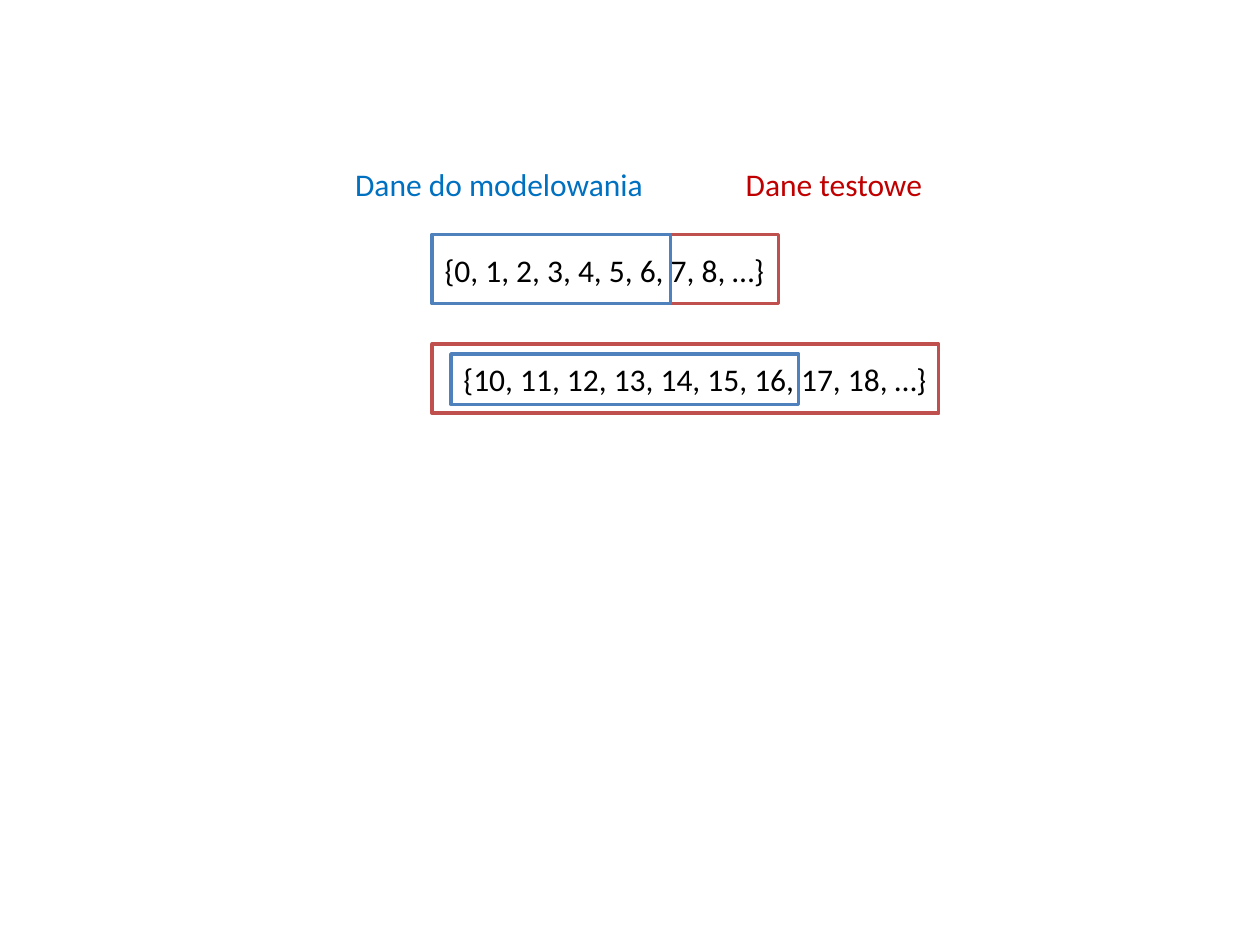
"""Build a slide marking modelling data and test data in two number sets."""
from pptx import Presentation
from pptx.dml.color import RGBColor
from pptx.enum.shapes import MSO_SHAPE
from pptx.enum.text import MSO_AUTO_SIZE
from pptx.util import Inches, Pt

TEST_LINE, MODEL_LINE = "C0504D", "4F81BD"
FRAMES = [
    (3.43, 2.73, 4.02, 0.55, TEST_LINE),
    (5.31, 1.86, 0.87, 0.55, TEST_LINE),
    (3.58, 2.81, 2.76, 0.4, MODEL_LINE),
    (3.43, 1.86, 1.89, 0.55, MODEL_LINE),
]
LABELS = [
    ("{0, 1, 2, 3, 4, 5, 6, 7, 8, …}", 3.43, 1.94, 2.99, "000000", True),
    ("{10, 11, 12, 13, 14, 15, 16, 17, 18, …}", 3.58, 2.81, 3.94, "000000", True),
    ("Dane do modelowania", 2.72, 1.26, 2.52, "0070C0", False),
    ("Dane testowe", 5.82, 1.26, 1.62, "C00000", False),
]
LABEL_HEIGHT = 0.4


def color(value):
    return RGBColor.from_string(value)


def add_frame(page, left, top, width, height, line):
    frame = page.shapes.add_shape(
        MSO_SHAPE.RECTANGLE, Inches(left), Inches(top), Inches(width), Inches(height))
    frame.shadow.inherit = False
    frame.fill.solid()
    frame.fill.fore_color.rgb = color("FFFFFF")
    frame.line.color.rgb = color(line)
    frame.line.width = Pt(2)


def add_label(page, text, left, top, width, ink, wrap):
    box = page.shapes.add_textbox(
        Inches(left), Inches(top), Inches(width), Inches(LABEL_HEIGHT))
    box.text_frame.word_wrap = wrap
    box.text_frame.auto_size = MSO_AUTO_SIZE.SHAPE_TO_FIT_TEXT
    span = box.text_frame.paragraphs[0].add_run()
    span.text = text
    span.font.name = "Calibri"
    span.font.size = Pt(18)
    span.font.color.rgb = color(ink)


def main():
    deck = Presentation()
    deck.slide_width, deck.slide_height = Inches(10), Inches(7.5)
    page = deck.slides.add_slide(deck.slide_layouts[6])
    for frame in FRAMES:
        add_frame(page, *frame)
    for label in LABELS:
        add_label(page, *label)
    deck.save("out.pptx")


if __name__ == "__main__":
    main()
